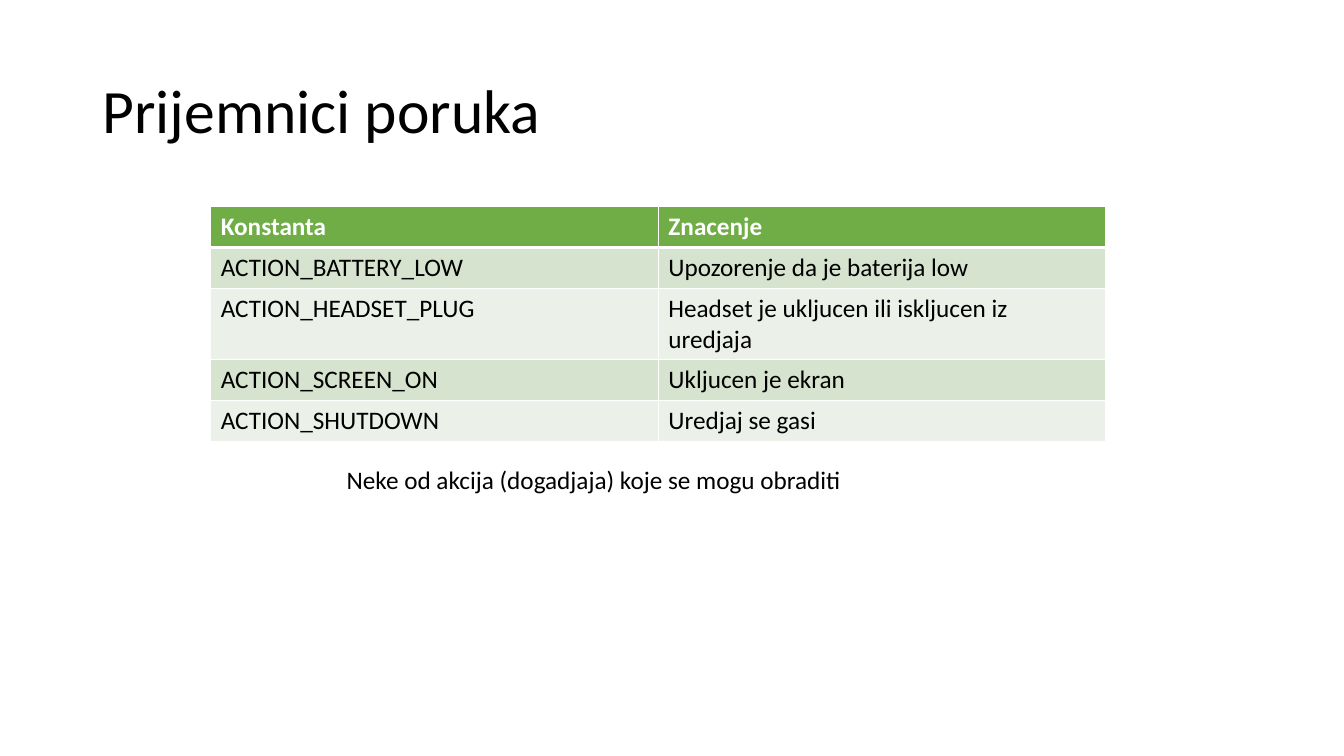
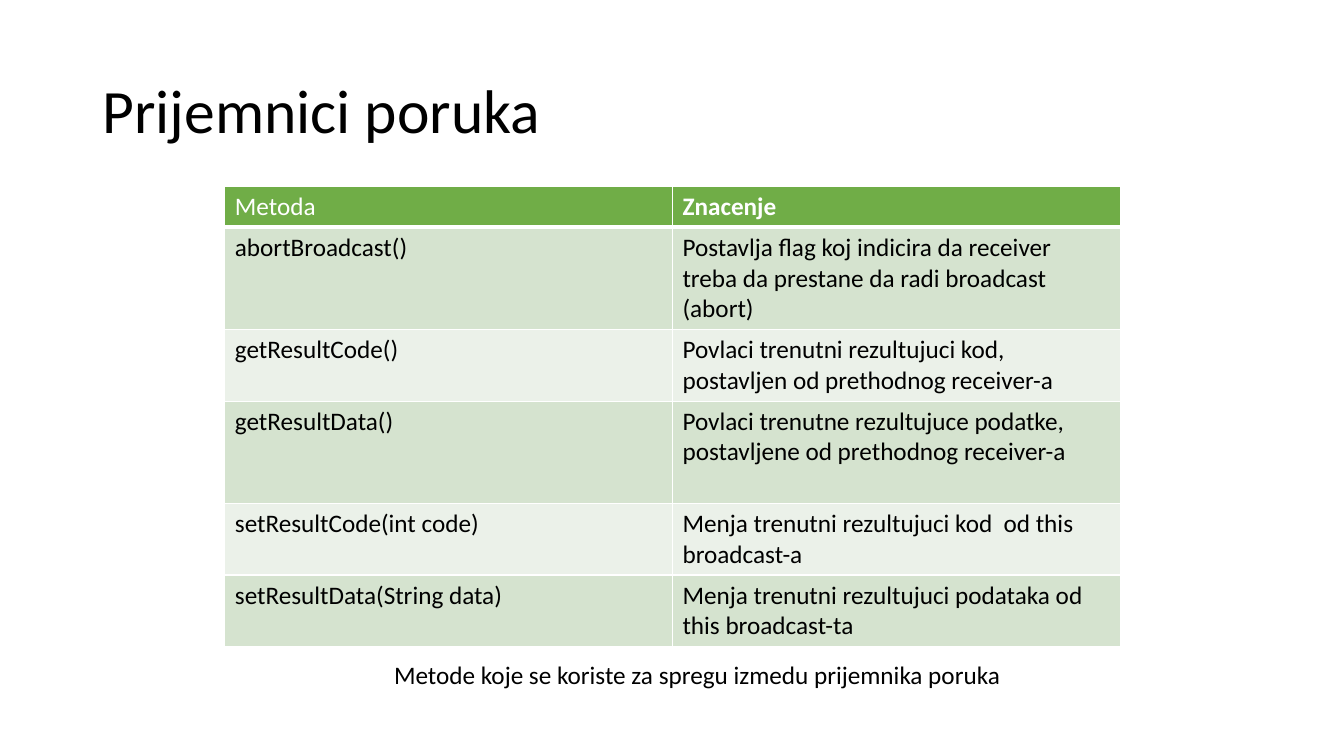
"""Build two slides on broadcast receivers, each with a title, a table and a caption."""
from lxml import etree
from pptx import Presentation
from pptx.dml.color import RGBColor
from pptx.enum.text import MSO_ANCHOR
from pptx.oxml.ns import qn
from pptx.util import Inches, Pt

MIDDLE, TOP = MSO_ANCHOR.MIDDLE, MSO_ANCHOR.TOP
FONT = "Calibri"
TITLE = "Prijemnici poruka"
COLORS = {
    "text": "000000",
    "white": "FFFFFF",
    "header": "70AD47",
    "odd": "D5E3CF",
    "even": "EBF1E9",
}
COLUMN_WIDTH = 4.44
CELL_PADDING = 0.1
LINE_HEIGHT = 0.305

SLIDES = [
    {
        "table_at": (2.09, 2.05),
        "rows": [
            ("Konstanta", "Znacenje", 1),
            ("ACTION_BATTERY_LOW", "Upozorenje da je baterija low", 1),
            ("ACTION_HEADSET_PLUG", "Headset je ukljucen ili iskljucen iz uredjaja", 2),
            ("ACTION_SCREEN_ON", "Ukljucen je ekran", 1),
            ("ACTION_SHUTDOWN", "Uredjaj se gasi", 1),
        ],
        "bold_headers": (True, True),
        "caption": "Neke od akcija (dogadjaja) koje se mogu obraditi",
        "caption_at": (3.34, 4.56, 5.66, 0.4),
    },
    {
        "table_at": (2.23, 1.85),
        "rows": [
            ("Metoda", "Znacenje", 1),
            ("abortBroadcast()",
             "Postavlja flag koj indicira da receiver treba da prestane da radi broadcast (abort)", 3),
            ("getResultCode()",
             "Povlaci trenutni rezultujuci kod, postavljen od prethodnog receiver-a", 2),
            ("getResultData()",
             "Povlaci trenutne rezultujuce podatke, postavljene od prethodnog receiver-a", 3),
            ("setResultCode(int code)",
             "Menja trenutni rezultujuci kod  od this broadcast-a", 2),
            ("setResultData(String data)",
             "Menja trenutni rezultujuci podataka od this broadcast-ta", 2),
        ],
        "bold_headers": (False, True),
        "caption": "Metode koje se koriste za spregu izmedu prijemnika poruka",
        "caption_at": (3.81, 6.49, 6.67, 0.71),
    },
]


def write(frame, text, size, color="text", bold=False):
    frame.text = text
    frame.word_wrap = True
    font = frame.paragraphs[0].runs[0].font
    font.name, font.size, font.bold = FONT, Pt(size), bold
    font.color.rgb = RGBColor.from_string(COLORS[color])


def add_borders(cell, top, bottom):
    properties = cell._tc.get_or_add_tcPr()
    sides = (("a:lnL", 1), ("a:lnR", 1), ("a:lnT", top), ("a:lnB", bottom))
    for position, (side, width) in enumerate(sides):
        line = etree.Element(qn(side), w=str(Pt(width)))
        fill = etree.SubElement(line, qn("a:solidFill"))
        etree.SubElement(fill, qn("a:srgbClr"), val=COLORS["white"])
        properties.insert(position, line)


prs = Presentation()
prs.slide_width, prs.slide_height = Inches(13.33), Inches(7.5)

for content in SLIDES:
    slide = prs.slides.add_slide(prs.slide_layouts[6])

    title = slide.shapes.add_textbox(Inches(0.92), Inches(0.4), Inches(11.5), Inches(1.45)).text_frame
    write(title, TITLE, 44)
    title.vertical_anchor = MIDDLE
    title.paragraphs[0].line_spacing = 0.9

    rows = content["rows"]
    left, top = content["table_at"]
    heights = [CELL_PADDING + LINE_HEIGHT * lines for *_, lines in rows]
    table = slide.shapes.add_table(
        len(rows), 2, Inches(left), Inches(top), Inches(2 * COLUMN_WIDTH), Inches(sum(heights))
    ).table
    for column in table.columns:
        column.width = Inches(COLUMN_WIDTH)
    for r, (name, meaning, _) in enumerate(rows):
        table.rows[r].height = Inches(heights[r])
        fill_color = "header" if r == 0 else "odd" if r % 2 else "even"
        for c, text in enumerate((name, meaning)):
            cell = table.cell(r, c)
            cell.vertical_anchor = TOP
            cell.fill.solid()
            cell.fill.fore_color.rgb = RGBColor.from_string(COLORS[fill_color])
            add_borders(cell, top=3 if r == 1 else 1, bottom=3 if r == 0 else 1)
            if r == 0:
                write(cell.text_frame, text, 18, "white", content["bold_headers"][c])
            else:
                write(cell.text_frame, text, 18)

    caption = slide.shapes.add_textbox(*map(Inches, content["caption_at"])).text_frame
    write(caption, content["caption"], 18)

prs.save("out.pptx")
